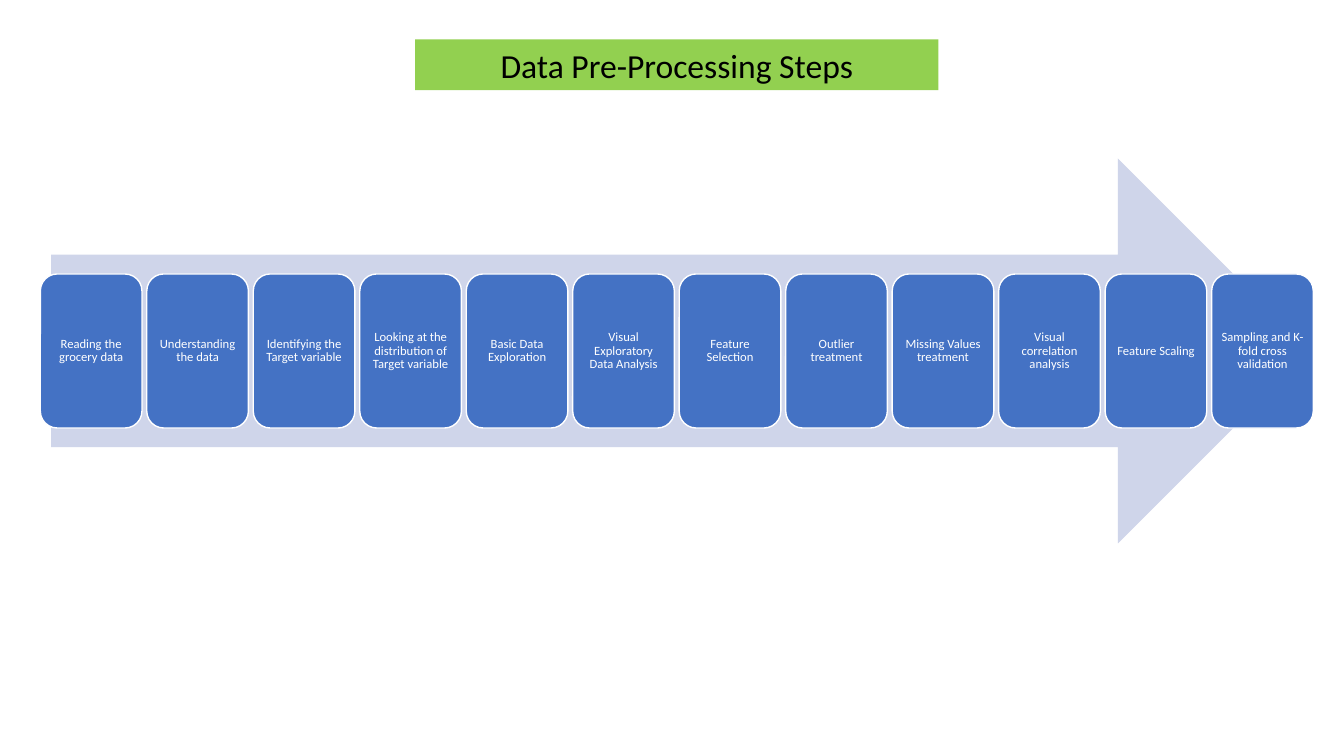
import pptx
import pptx.util
import pptx.dml.color
import pptx.enum.shapes
import pptx.enum.text

Pt = pptx.util.Pt
RGBColor = pptx.dml.color.RGBColor
SHAPE = pptx.enum.shapes.MSO_SHAPE

GREEN = RGBColor(0x92, 0xD0, 0x50)
BLUE = RGBColor(0x44, 0x72, 0xC4)
PALE_BLUE = RGBColor(0xCF, 0xD5, 0xEA)
WHITE = RGBColor(0xFF, 0xFF, 0xFF)
BLACK = RGBColor(0x00, 0x00, 0x00)

STEPS = [
    "Reading the grocery data",
    "Understanding the data",
    "Identifying the Target variable",
    "Looking at the distribution of Target variable",
    "Basic Data Exploration",
    "Visual Exploratory Data Analysis",
    "Feature Selection",
    "Outlier treatment",
    "Missing Values treatment",
    "Visual correlation analysis",
    "Feature Scaling",
    "Sampling and K-fold cross validation",
]
STEP_LEFT = 28.8
STEP_PITCH = 76.06
STEP_WIDTH = 72.6


def write_centred(box, text, size, color):
    frame = box.text_frame
    frame.word_wrap = True
    frame.auto_size = pptx.enum.text.MSO_AUTO_SIZE.NONE
    frame.vertical_anchor = pptx.enum.text.MSO_ANCHOR.MIDDLE
    para = frame.paragraphs[0]
    para.alignment = pptx.enum.text.PP_ALIGN.CENTER
    span = para.add_run()
    span.text = text
    span.font.name = "Calibri"
    span.font.size = Pt(size)
    span.font.color.rgb = color
    return frame


deck = pptx.Presentation()
deck.slide_width = Pt(960)
deck.slide_height = Pt(540)
page = deck.slides.add_slide(deck.slide_layouts[5])

title = page.shapes.title
title.left, title.top = Pt(296.6), Pt(28.2)
title.width, title.height = Pt(373.7), Pt(36.2)
title.fill.solid()
title.fill.fore_color.rgb = GREEN
write_centred(title, "Data Pre-Processing Steps", 24, BLACK)

arrow = page.shapes.add_shape(SHAPE.RIGHT_ARROW, Pt(36.6), Pt(113.2), Pt(899.4), Pt(275))
arrow.shadow.inherit = False
arrow.fill.solid()
arrow.fill.fore_color.rgb = PALE_BLUE
arrow.line.fill.background()

for index, step in enumerate(STEPS):
    left = STEP_LEFT + index * STEP_PITCH
    box = page.shapes.add_shape(
        SHAPE.ROUNDED_RECTANGLE, Pt(left), Pt(195.7), Pt(STEP_WIDTH), Pt(110)
    )
    box.shadow.inherit = False
    box.fill.solid()
    box.fill.fore_color.rgb = BLUE
    box.line.color.rgb = WHITE
    box.line.width = Pt(1)
    frame = write_centred(box, step, 9, WHITE)
    frame.margin_left = frame.margin_right = Pt(2.8)
    frame.margin_top = frame.margin_bottom = Pt(2.8)
    frame.paragraphs[0].line_spacing = 0.9

deck.save("out.pptx")
